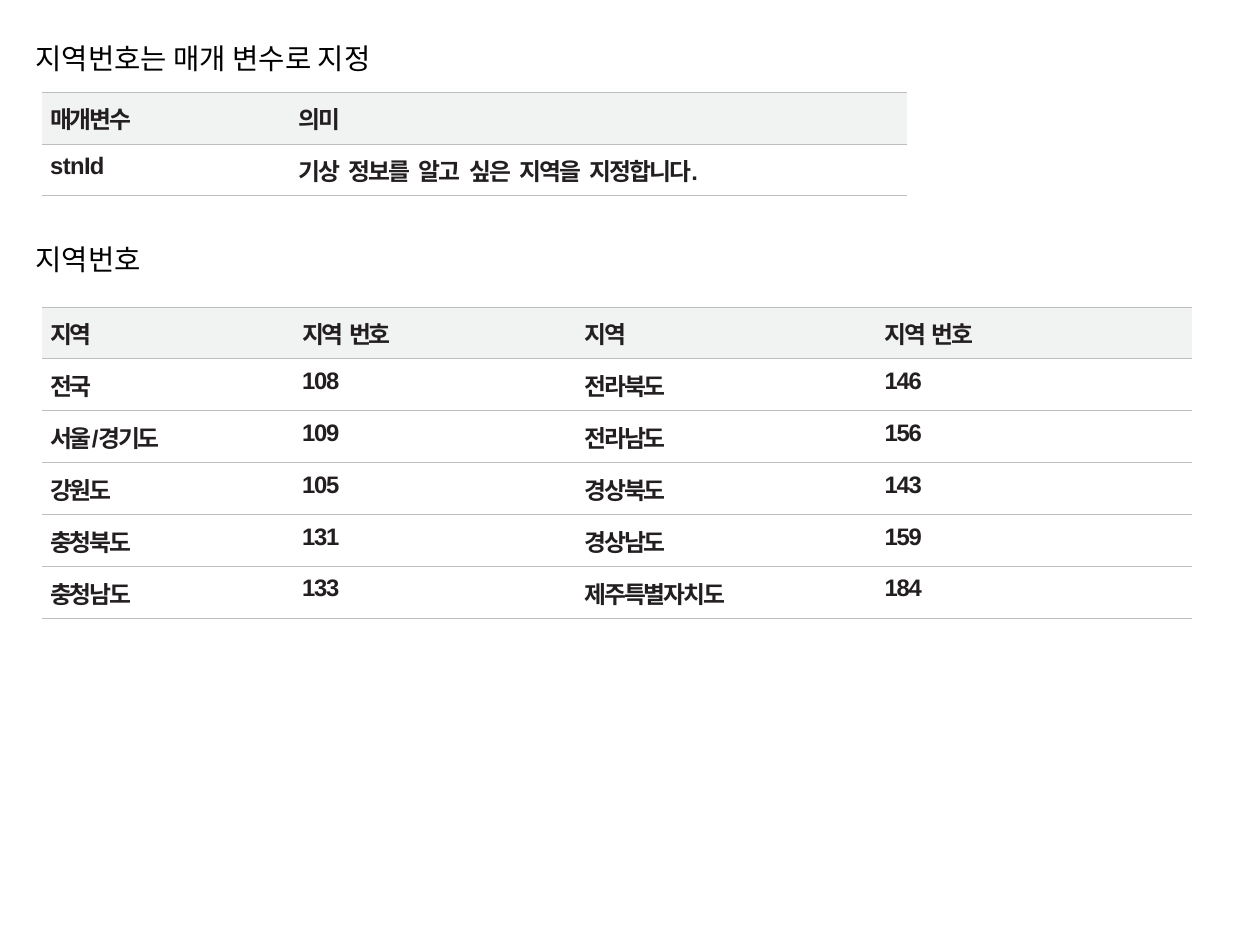
"""Build a slide that lists the region parameter and the region numbers."""
from lxml import etree
from pptx import Presentation
from pptx.dml.color import RGBColor
from pptx.enum.text import PP_ALIGN
from pptx.oxml.ns import qn
from pptx.util import Pt

JUSTIFY = PP_ALIGN.JUSTIFY
COLORS = {"heading": "000000", "cell": "231F20", "header": "F1F2F2", "rule": "BCBEC0"}
FONT = "Arial"
ROW_HEIGHT = 32.64
TABLE_LEFT = 26.6
HANGUL, LATIN, DIGITS = -1.4, -0.4, -0.8
REGION_GAP, SENTENCE_GAP = -1.1, 1.8

parameter_rows = [
    [("매개변수", HANGUL), ("의미", HANGUL)],
    [("stnId", LATIN), ("기상 정보를 알고 싶은 지역을 지정합니다.", -1.25)],
]
region_numbers = [
    ("전국", "108", "전라북도", "146"),
    ("서울/경기도", "109", "전라남도", "156"),
    ("강원도", "105", "경상북도", "143"),
    ("충청북도", "131", "경상남도", "159"),
    ("충청남도", "133", "제주특별자치도", "184"),
]
region_rows = [[(title, HANGUL) for title in ("지역", "지역 번호") * 2]]
for entry in region_numbers:
    region_rows.append([(text, DIGITS if text.isdigit() else HANGUL) for text in entry])


def style_font(font, size, color):
    font.name = FONT
    font.size = Pt(size)
    font.color.rgb = RGBColor.from_string(COLORS[color])


def rule_cell(cell):
    properties = cell._tc.get_or_add_tcPr()
    for side in ("a:lnL", "a:lnR", "a:lnT", "a:lnB"):
        line = etree.SubElement(properties, qn(side), w=str(Pt(0.5)))
        if side in ("a:lnL", "a:lnR"):
            etree.SubElement(line, qn("a:noFill"))
        else:
            fill = etree.SubElement(line, qn("a:solidFill"))
            etree.SubElement(fill, qn("a:srgbClr"), val=COLORS["rule"])


presentation = Presentation()
presentation.slide_width = Pt(792.72)
presentation.slide_height = Pt(594.72)
slide = presentation.slides.add_slide(presentation.slide_layouts[6])

tables = [
    (57.9, [125.3, 419], [5, 36], SENTENCE_GAP, parameter_rows),
    (193.2, [132.5, 174.2, 197.3, 219.6], [5, 31, 34.6, 26], REGION_GAP, region_rows),
]
for top, widths, indents, word_gap, rows in tables:
    table = slide.shapes.add_table(
        len(rows), len(widths), Pt(TABLE_LEFT), Pt(top),
        Pt(sum(widths)), Pt(ROW_HEIGHT * len(rows))).table
    table.first_row = False
    table.horz_banding = False
    for column, width in zip(table.columns, widths):
        column.width = Pt(width)
    for row_index, row in enumerate(rows):
        table.rows[row_index].height = Pt(ROW_HEIGHT)
        for column_index, (text, spacing) in enumerate(row):
            cell = table.cell(row_index, column_index)
            rule_cell(cell)
            if row_index == 0:
                cell.fill.solid()
                cell.fill.fore_color.rgb = RGBColor.from_string(COLORS["header"])
            else:
                cell.fill.background()
            cell.margin_left = Pt(indents[column_index])
            cell.margin_top = Pt(5.8)
            cell.margin_right = cell.margin_bottom = 0
            paragraph = cell.text_frame.paragraphs[0]
            for piece in text.replace(" ", "| |").split("|"):
                run = paragraph.add_run()
                run.text = piece
                style_font(run.font, 15, "cell")
                run.font.bold = True
                tracking = word_gap if piece == " " else spacing
                run._r.get_or_add_rPr().set("spc", str(round(tracking * 100)))

headings = slide.shapes.add_textbox(Pt(22.3), Pt(15.1), Pt(749.5), Pt(163.4)).text_frame
headings.word_wrap = True
headings.margin_left = headings.margin_top = 0
headings.margin_right = headings.margin_bottom = 0
headings.text = "지역번호는 매개 변수로 지정\n지역번호"
for heading in headings.paragraphs:
    heading.alignment = JUSTIFY
    heading.line_spacing = 1.5
    style_font(heading.runs[0].font, 18, "heading")
headings.paragraphs[1].space_before = Pt(94)

presentation.save("out.pptx")
